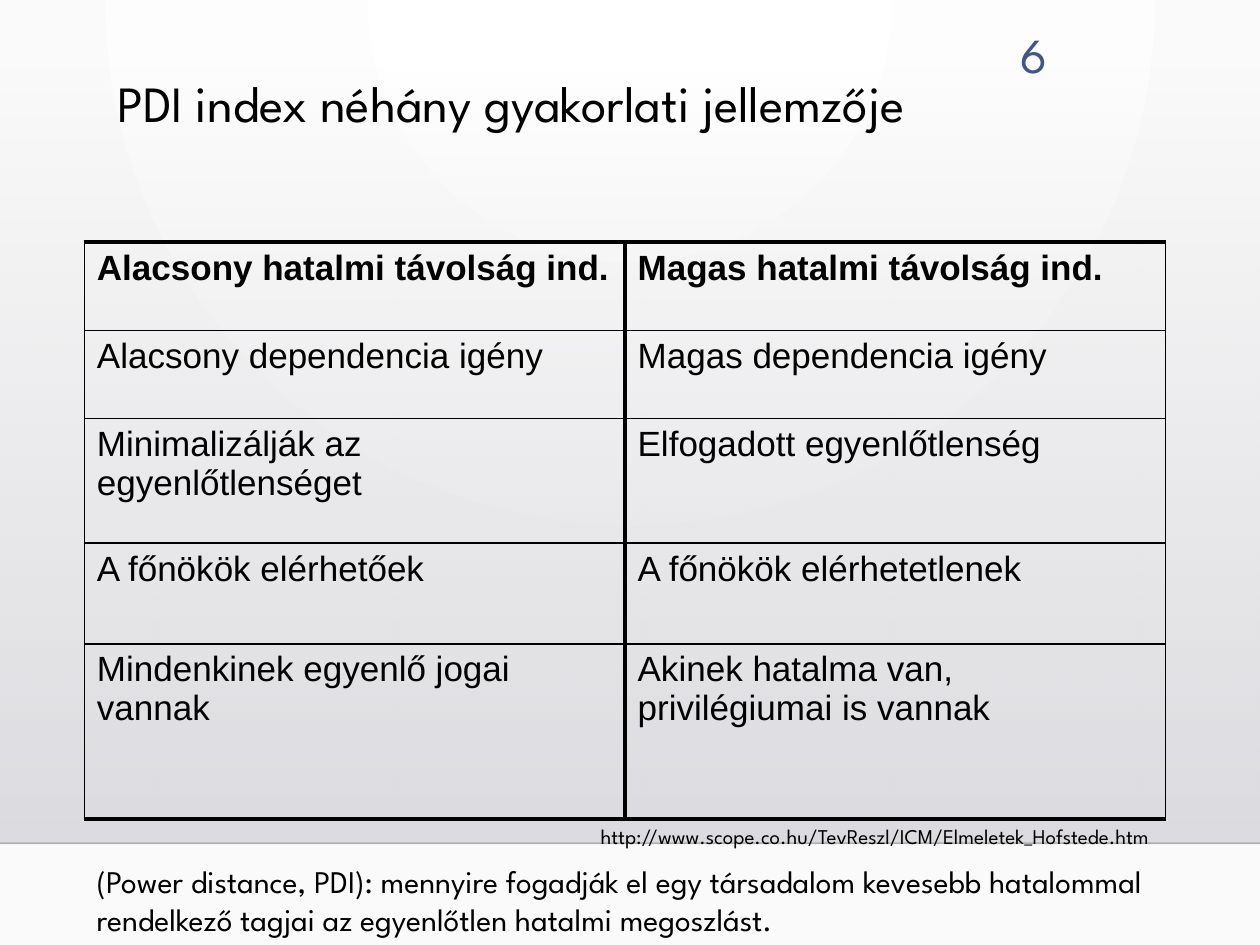
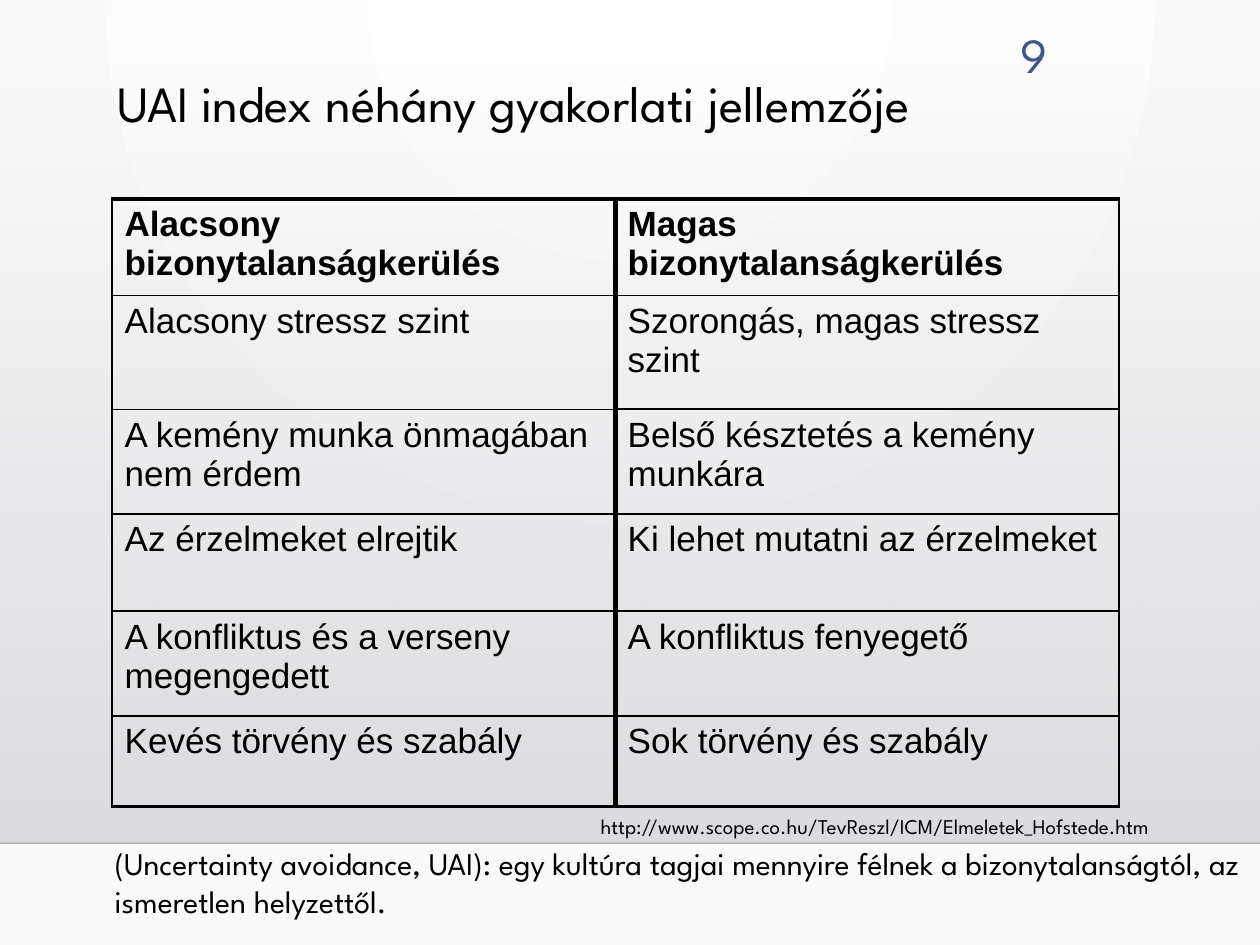
from lxml.etree import SubElement
from pptx import Presentation
from pptx.dml.color import RGBColor
from pptx.enum.shapes import MSO_CONNECTOR, MSO_SHAPE
from pptx.enum.text import MSO_ANCHOR, PP_ALIGN
from pptx.oxml import parse_xml
from pptx.oxml.ns import nsdecls, qn
from pptx.util import Cm, Pt

INK = "000000"
HEAD = {"name": "League Spartan", "size": Pt(29), "color": INK}
PAGE = {"name": "League Spartan", "size": Pt(28), "color": "415588"}
LINK = {"name": "League Spartan", "size": Pt(12), "color": INK}
NOTE = {"name": "League Spartan", "size": Pt(18), "color": INK}
CELL = {"name": "Arial", "size": Pt(20), "color": INK, "bold": False}
THIN, THICK = 1, 2.25
URL = "http://www.scope.co.hu/TevReszl/ICM/Elmeletek_Hofstede.htm"

PDI = {
    "title": "PDI index néhány gyakorlati jellemzője",
    "page": "6",
    "top": 4.88,
    "width": 10.9,
    "low": (1.7, [1.78, 1.78, 2.51, 2.03, 3.53], [
        "Alacsony hatalmi távolság ind.",
        "Alacsony dependencia igény",
        "Minimalizálják az egyenlőtlenséget",
        "A főnökök elérhetőek",
        "Mindenkinek egyenlő jogai vannak"]),
    "high": (12.6, [1.78, 1.78, 2.51, 2.03, 3.53], [
        "Magas hatalmi távolság ind.",
        "Magas dependencia igény",
        "Elfogadott egyenlőtlenség",
        "A főnökök elérhetetlenek",
        "Akinek hatalma van, privilégiumai is vannak"]),
    "link": 16.48,
    "note": (1.7, 17.25, 23.7, 1.8),
    "text": "(Power distance, PDI): mennyire fogadják el egy társadalom "
            "kevesebb hatalommal rendelkező tagjai az egyenlőtlen hatalmi "
            "megoszlást.",
}
UAI = {
    "title": "UAI index néhány gyakorlati jellemzője",
    "page": "9",
    "top": 4.01,
    "width": 10.16,
    "low": (2.26, [1.95, 2.29, 2.11, 1.96, 2.11, 1.83], [
        "Alacsony bizonytalanságkerülés",
        "Alacsony stressz szint",
        "A kemény munka önmagában nem érdem",
        "Az érzelmeket elrejtik",
        "A konfliktus és a verseny megengedett",
        "Kevés törvény és szabály"]),
    "high": (12.4, [1.83, 2.29, 2.11, 1.96, 2.11, 1.83], [
        "Magas bizonytalanságkerülés",
        "Szorongás, magas stressz szint",
        "Belső késztetés a kemény munkára",
        "Ki lehet mutatni az érzelmeket",
        "A konfliktus fenyegető",
        "Sok törvény és szabály"]),
    "link": 16.28,
    "note": (2.06, 16.89, 24.49, 1.8),
    "text": "(Uncertainty avoidance, UAI): egy kultúra tagjai mennyire "
            "félnek a bizonytalanságtól, az ismeretlen helyzettől.",
}


def paint(target, code):
    """Set a colour format from a hex string."""
    target.rgb = RGBColor.from_string(code)


def style(font, look):
    """Apply a dict of format values to a font."""
    for key, value in look.items():
        if key == "color":
            paint(font.color, value)
        else:
            setattr(font, key, value)


def blend(host, old, stops, shade):
    """Swap a plain fill in host for a gradient of (place, colour, alpha)."""
    marks = "".join(
        f'<a:gs pos="{place * 1000}"><a:srgbClr val="{code}">'
        f'<a:alpha val="{alpha * 1000}"/></a:srgbClr></a:gs>'
        for place, code, alpha in stops)
    fill = parse_xml(f'<a:gradFill {nsdecls("a")} rotWithShape="1">'
                     f'<a:gsLst>{marks}</a:gsLst>{shade}</a:gradFill>')
    host.replace(host.find(qn(old)), fill)


def glow(master):
    """Give the master its round background gradient."""
    master.background.fill.solid()
    host = next(master.element.iter(qn("p:bgPr")))
    blend(host, "a:solidFill", [(0, "FFFFFF", 100), (100, "FAFAFA", 100)],
          '<a:path path="circle"><a:fillToRect l="43000" t="0" r="43000" '
          'b="100000"/></a:path>')


def band(slide):
    """Draw the grey band that fades in from the top."""
    shape = slide.shapes.add_shape(MSO_SHAPE.RECTANGLE, Cm(0), Cm(1.3),
                                   Cm(25.4), Cm(15.7))
    shape.shadow.inherit = False
    shape.line.fill.background()
    shape.fill.background()
    blend(shape.element.spPr, "a:noFill",
          [(0, "DCDCE0", 0), (100, "DEDEE2", 100)],
          '<a:lin ang="5400000" scaled="0"/>')


def rule(slide):
    """Draw the faint line under the band."""
    line = slide.shapes.add_connector(MSO_CONNECTOR.STRAIGHT, Cm(0), Cm(17),
                                      Cm(25.4), Cm(17))
    line.line.width = Pt(1)
    paint(line.line.color, "000001")
    props = line.element.spPr
    SubElement(next(props.iter(qn("a:srgbClr"))), qn("a:alpha"), val="20000")
    SubElement(props, qn("a:effectLst"))


def label(slide, place, text, look, wrap=True, **form):
    """Add a text box at place, in centimetres."""
    frame = slide.shapes.add_textbox(*map(Cm, place)).text_frame
    frame.word_wrap = wrap
    frame.vertical_anchor = MSO_ANCHOR.TOP
    para = frame.paragraphs[0]
    para.text = text
    for key, value in form.items():
        setattr(para, key, value)
    style(para.runs[0].font, look)


def edge(cell, sides):
    """Draw the borders of a cell from a dict of side and points."""
    props = cell._tc.get_or_add_tcPr()
    for spot, (side, width) in enumerate(sides.items()):
        props.insert(spot, parse_xml(
            f'<a:ln{side} {nsdecls("a")} w="{Pt(width)}"><a:solidFill>'
            f'<a:srgbClr val="{INK}"/></a:solidFill></a:ln{side}>'))


def grid(slide, data, key):
    """Add the one-column table of the low or high side."""
    left, tall, words = data[key]
    table = slide.shapes.add_table(
        len(words), 1, Cm(left), Cm(data["top"]), Cm(data["width"]),
        Cm(sum(tall))).table
    table.first_row = table.horz_banding = False
    last = len(words) - 1
    for row, (text, height) in enumerate(zip(words, tall)):
        table.rows[row].height = Cm(height)
        cell = table.cell(row, 0)
        cell.text = text
        cell.fill.background()
        style(cell.text_frame.paragraphs[0].runs[0].font,
              CELL | {"bold": row == 0})
        edge(cell, {"L": THICK if key == "high" else THIN,
                    "R": THICK if key == "low" else THIN,
                    "T": THICK if row == 0 else THIN,
                    "B": THICK if row == last else THIN})


def build(deck, data):
    """Add one slide that compares low and high values of an index."""
    slide = deck.slides.add_slide(deck.slide_layouts[6])
    band(slide)
    rule(slide)
    label(slide, (19.15, 0.36, 2.21, 1.4), data["page"], PAGE,
          alignment=PP_ALIGN.RIGHT)
    label(slide, (2.11, 1.47, 21.39, 2.34), data["title"], HEAD,
          line_spacing=0.9)
    grid(slide, data, "high")
    label(slide, (11.86, data["link"], 12.37, 0.76), URL, LINK, wrap=False)
    grid(slide, data, "low")
    label(slide, data["note"], data["text"], NOTE)


def main():
    """Build and save the deck."""
    deck = Presentation()
    deck.slide_width, deck.slide_height = Cm(25.4), Cm(19.05)
    glow(deck.slide_master)
    for data in (PDI, UAI):
        build(deck, data)
    deck.save("out.pptx")


if __name__ == "__main__":
    main()
